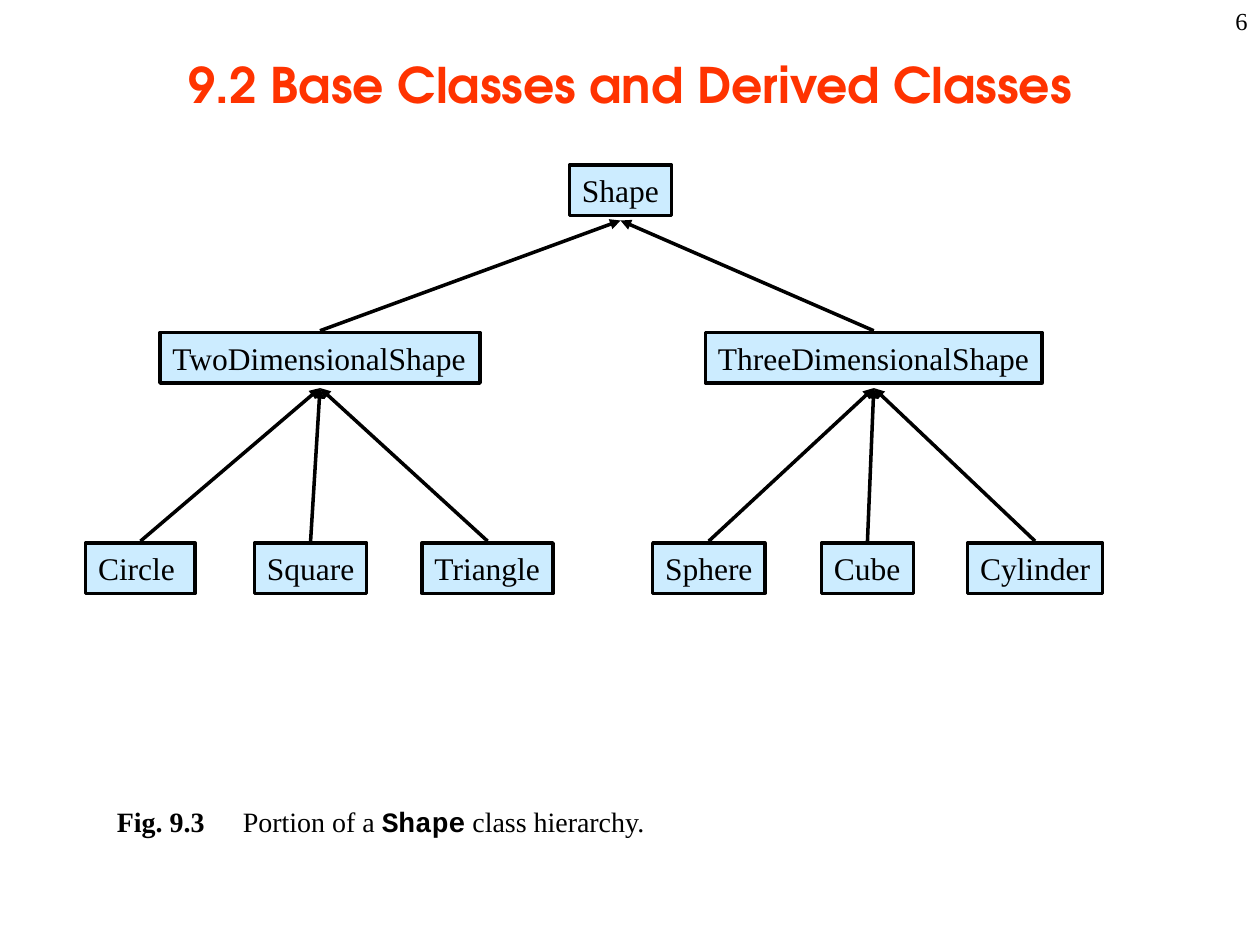
import pptx
import pptx.dml.color
import pptx.enum.shapes
import pptx.enum.text
import pptx.oxml
import pptx.util
from lxml import etree

COLUMNS, ROWS = 100, 75
SLIDE_WIDTH, SLIDE_HEIGHT = pptx.util.Inches(10), pptx.util.Inches(7.5)
SERIF, CODE, HEADING = "Times New Roman", "Courier New", "TeX Gyre Adventor"
BLACK, ORANGE, PALE_BLUE = "000000", "FF3300", "CCECFF"
ALIGN = pptx.enum.text.PP_ALIGN
ANCHOR = pptx.enum.text.MSO_ANCHOR

NODE_HEIGHT, LINE_WIDTH = 4, 2
GAP_ABOVE_CHILD, GAP_BELOW_PARENT = 0.15, 0.4
LEVELS = [
    (0, [("Shape", 38.4, 8.1, None)]),
    (13.3, [
        ("TwoDimensionalShape", 5.9, 25.4, "Shape"),
        ("ThreeDimensionalShape", 49.2, 26.7, "Shape"),
    ]),
    (30, [
        ("Circle", 0, 8.7, "TwoDimensionalShape"),
        ("Square", 13.4, 8.9, "TwoDimensionalShape"),
        ("Triangle", 26.7, 10.4, "TwoDimensionalShape"),
        ("Sphere", 45, 8.9, "ThreeDimensionalShape"),
        ("Cube", 58.4, 7.3, "ThreeDimensionalShape"),
        ("Cylinder", 70, 10.7, "ThreeDimensionalShape"),
    ]),
]


def color(value):
    """Return the RGB color of a hex string."""
    return pptx.dml.color.RGBColor.from_string(value)


def grid(*lengths):
    """Turn alternating column and row counts into slide lengths."""
    units = (SLIDE_WIDTH / COLUMNS, SLIDE_HEIGHT / ROWS)
    return [round(length * units[i % 2]) for i, length in enumerate(lengths)]


def set_attributes(target, values):
    """Set each attribute in a dict of format values."""
    for name, value in values.items():
        setattr(target, name, value)


def write_text(shape, runs, size, align=ALIGN.LEFT, anchor=ANCHOR.TOP, **frame_values):
    """Write one paragraph of (text, font, bold) runs into a shape."""
    frame = shape.text_frame
    set_attributes(frame, {"word_wrap": True, "vertical_anchor": anchor, **frame_values})
    paragraph = frame.paragraphs[0]
    paragraph.alignment = align
    for text, font, bold, text_color in runs:
        run = paragraph.add_run()
        run.text = text
        set_attributes(run.font, {"name": font, "bold": bold, "size": pptx.util.Pt(size)})
        run.font.color.rgb = color(text_color)


def add_title(slide, box):
    """Place and format the slide title."""
    title = slide.shapes.title
    set_attributes(title, dict(zip(("left", "top", "width", "height"), grid(*box))))
    runs = [("9.2\u2002Base Classes and Derived Classes".replace("\u2002", " "), HEADING, True, ORANGE)]
    write_text(title, runs, 28, ALIGN.CENTER, ANCHOR.MIDDLE)


def add_node(slide, name, box):
    """Draw one class box."""
    node = slide.shapes.add_shape(pptx.enum.shapes.MSO_SHAPE.RECTANGLE, *grid(*box))
    node.shadow.inherit = False
    node.fill.solid()
    node.fill.fore_color.rgb = color(PALE_BLUE)
    node.line.color.rgb = color(BLACK)
    node.line.width = pptx.util.Pt(LINE_WIDTH)
    write_text(node, [(name, SERIF, False, BLACK)], 18, margin_right=0)


def add_arrow(slide, start, end):
    """Draw an inheritance arrow from a child to its parent."""
    straight = pptx.enum.shapes.MSO_CONNECTOR.STRAIGHT
    arrow = slide.shapes.add_connector(straight, *grid(*start, *end))
    arrow.line.color.rgb = color(BLACK)
    arrow.line.width = pptx.util.Pt(LINE_WIDTH)
    line = arrow.line._get_or_add_ln()
    etree.SubElement(line, pptx.oxml.ns.qn("a:tailEnd"), type="triangle")
    etree.SubElement(arrow._element.spPr, pptx.oxml.ns.qn("a:effectLst"))


def add_hierarchy(slide, left, top):
    """Draw the class tree level by level, with arrows to the parents."""
    parent_anchors = {}
    for row, nodes in LEVELS:
        node_top = top + row
        for name, column, width, parent in nodes:
            center = left + column + width / 2
            add_node(slide, name, (left + column, node_top, width, NODE_HEIGHT))
            parent_anchors[name] = (center, node_top + NODE_HEIGHT + GAP_BELOW_PARENT)
            if parent:
                add_arrow(slide, (center, node_top - GAP_ABOVE_CHILD), parent_anchors[parent])


def add_caption(slide, box):
    """Write the figure caption with a tab after its number."""
    caption = slide.shapes.add_textbox(*grid(*box))
    properties = caption.text_frame.paragraphs[0]._p.get_or_add_pPr()
    tabs = etree.SubElement(properties, pptx.oxml.ns.qn("a:tabLst"))
    etree.SubElement(tabs, pptx.oxml.ns.qn("a:tab"), pos=str(grid(10)[0]), algn="l")
    runs = [
        ("Fig. 9.3\t", SERIF, True, BLACK),
        ("Portion of a ", SERIF, False, BLACK),
        ("Shape", CODE, True, BLACK),
        (" class hierarchy.", SERIF, False, BLACK),
    ]
    write_text(caption, runs, 16)


def add_page_number(slide, box):
    """Write the page number at the right edge."""
    number = slide.shapes.add_textbox(*grid(*box))
    write_text(number, [("6", SERIF, False, BLACK)], 14, ALIGN.RIGHT)


def main():
    """Build and save the slide."""
    presentation = pptx.Presentation()
    set_attributes(presentation, {"slide_width": SLIDE_WIDTH, "slide_height": SLIDE_HEIGHT})
    slide = presentation.slides.add_slide(presentation.slide_layouts[5])
    add_title(slide, (7.5, 0.8, 85, 11.7))
    add_caption(slide, (8.3, 63.4, 85, 3.7))
    add_hierarchy(slide, 6.8, 13.1)
    add_page_number(slide, (79.2, 0, 20.8, 5))
    presentation.save("out.pptx")


if __name__ == "__main__":
    main()
